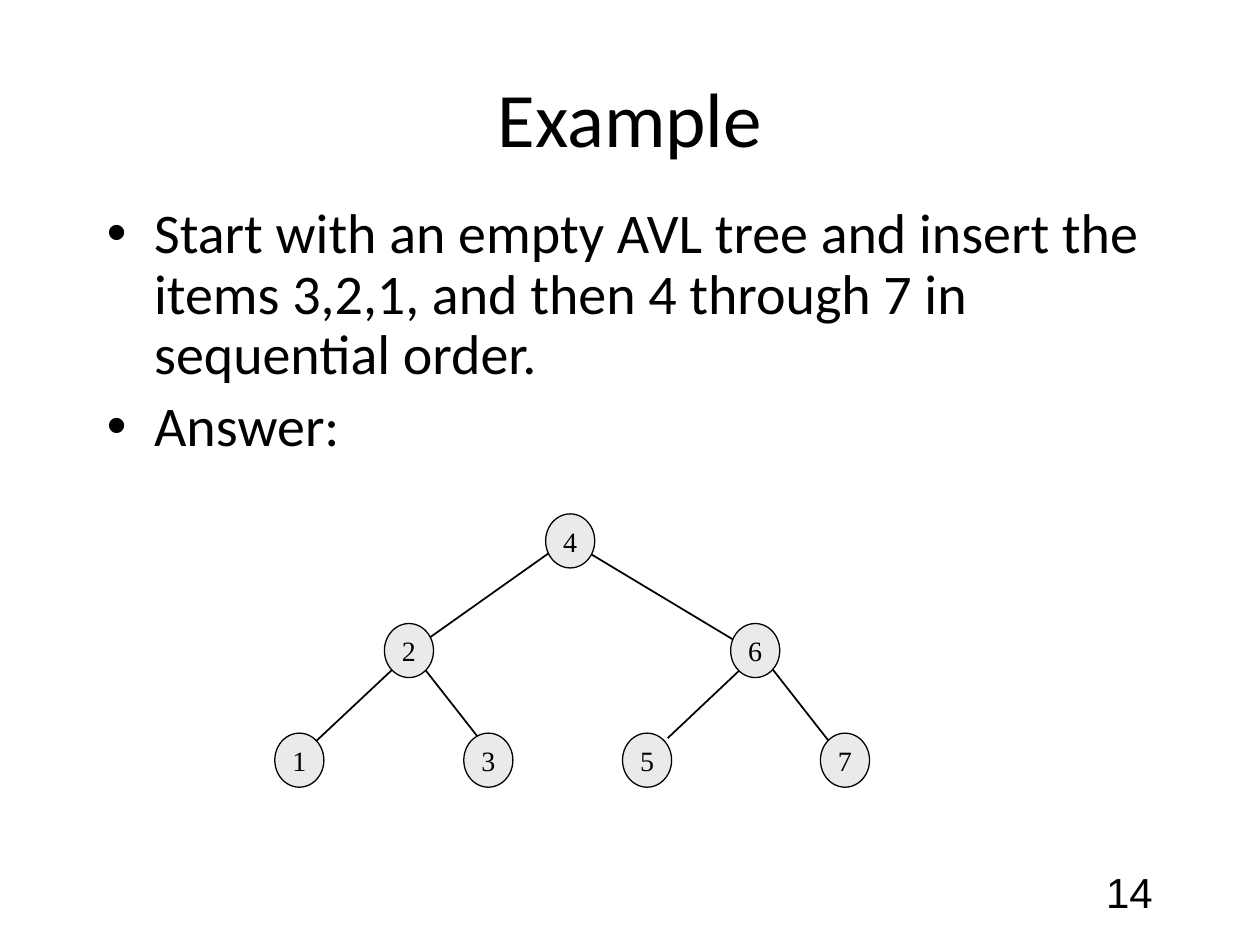
from pptx import Presentation
from pptx.dml.color import RGBColor
from pptx.enum.shapes import MSO_CONNECTOR as Connector, MSO_SHAPE as Shape
from pptx.enum.text import MSO_ANCHOR as Anchor, MSO_AUTO_SIZE as AutoSize, PP_ALIGN as Align
from pptx.oxml.ns import qn
from pptx.util import Cm, Pt
from lxml.etree import SubElement

BLACK = RGBColor(0x00, 0x00, 0x00)
NODE_GREY = RGBColor(0xEA, 0xEA, 0xEA)

NODE_WIDTH, NODE_HEIGHT, LEVEL_STEP = 0.99, 1.09, 2.21
# Key: (left, level)
NODES = {
    "4": (5.46, 0),
    "2": (2.21, 1), "6": (9.19, 1),
    "1": (0, 2), "3": (3.81, 2), "5": (7.01, 2), "7": (11, 2),
}
# Parent end and child end of each edge, within the tree
EDGES = [
    (2.41, 3.1, 0.79, 4.62),
    (3, 3.1, 4.19, 4.62),
    (9.53, 3, 7.92, 4.52),
    (10.01, 3.1, 11.2, 4.62),
    (5.99, 0.46, 2.59, 2.87),
    (5.79, 0.46, 9.8, 2.87),
]


def place(shape, left, top, width, height):
    shape.left, shape.top = Cm(left), Cm(top)
    shape.width, shape.height = Cm(width), Cm(height)


def add_run(paragraph, text, font_name, size):
    run = paragraph.add_run()
    run.text = text
    run.font.name = font_name
    run.font.size = Pt(size)
    run.font.color.rgb = BLACK


def fill_title(slide, text, box):
    title = slide.shapes.title
    place(title, *box)
    frame = title.text_frame
    frame.auto_size = AutoSize.NONE
    frame.vertical_anchor = Anchor.MIDDLE
    paragraph = frame.paragraphs[0]
    paragraph.alignment = Align.CENTER
    add_run(paragraph, text, "Calibri", 44)


def fill_body(slide, items, box):
    body = slide.placeholders[1]
    place(body, *box)
    frame = body.text_frame
    frame.auto_size = AutoSize.NONE
    for index, item in enumerate(items):
        paragraph = frame.add_paragraph() if index else frame.paragraphs[0]
        paragraph.line_spacing = 0.9
        paragraph.space_before = Pt(6.4 if index else 0)
        add_run(paragraph, item, "Calibri", 32)


def add_edge(group, x1, y1, x2, y2):
    edge = group.shapes.add_connector(Connector.STRAIGHT, Cm(x1), Cm(y1), Cm(x2), Cm(y2))
    edge.line.color.rgb = BLACK
    edge.line.width = Pt(1)
    SubElement(edge._element.spPr, qn("a:effectLst"))


def add_node(group, key, left, top):
    node = group.shapes.add_shape(Shape.OVAL, Cm(left), Cm(top), Cm(NODE_WIDTH), Cm(NODE_HEIGHT))
    node.shadow.inherit = False
    node.fill.solid()
    node.fill.fore_color.rgb = NODE_GREY
    node.line.color.rgb = BLACK
    node.line.width = Pt(0.75)
    frame = node.text_frame
    frame.word_wrap = False
    frame.vertical_anchor = Anchor.MIDDLE
    paragraph = frame.paragraphs[0]
    paragraph.alignment = Align.CENTER
    add_run(paragraph, key, "Times New Roman", 16)


def add_tree(slide, left, top):
    group = slide.shapes.add_group_shape()
    for x1, y1, x2, y2 in EDGES:
        add_edge(group, left + x1, top + y1, left + x2, top + y2)
    for key, (x, level) in NODES.items():
        add_node(group, key, left + x, top + level * LEVEL_STEP)


def add_page_number(slide, number, box):
    frame = slide.shapes.add_textbox(*map(Cm, box)).text_frame
    frame.word_wrap = True
    frame.vertical_anchor = Anchor.MIDDLE
    paragraph = frame.paragraphs[0]
    paragraph.alignment = Align.RIGHT
    add_run(paragraph, number, "Arial", 24)


def main():
    presentation = Presentation()
    presentation.slide_width, presentation.slide_height = Cm(25.4), Cm(19.05)
    slide = presentation.slides.add_slide(presentation.slide_layouts[1])
    add_page_number(slide, "14", (18.21, 17.35, 5.28, 1.27))
    fill_title(slide, "Example", (1.27, 0.76, 22.86, 3.18))
    fill_body(slide, [
        "Start with an empty AVL tree and insert the items 3,2,1, "
        "and then 4 through 7 in sequential order.",
        "Answer:",
    ], (1.9, 4.01, 21.59, 5.92))
    add_tree(slide, 5.54, 10.36)
    presentation.save("out.pptx")


if __name__ == "__main__":
    main()
